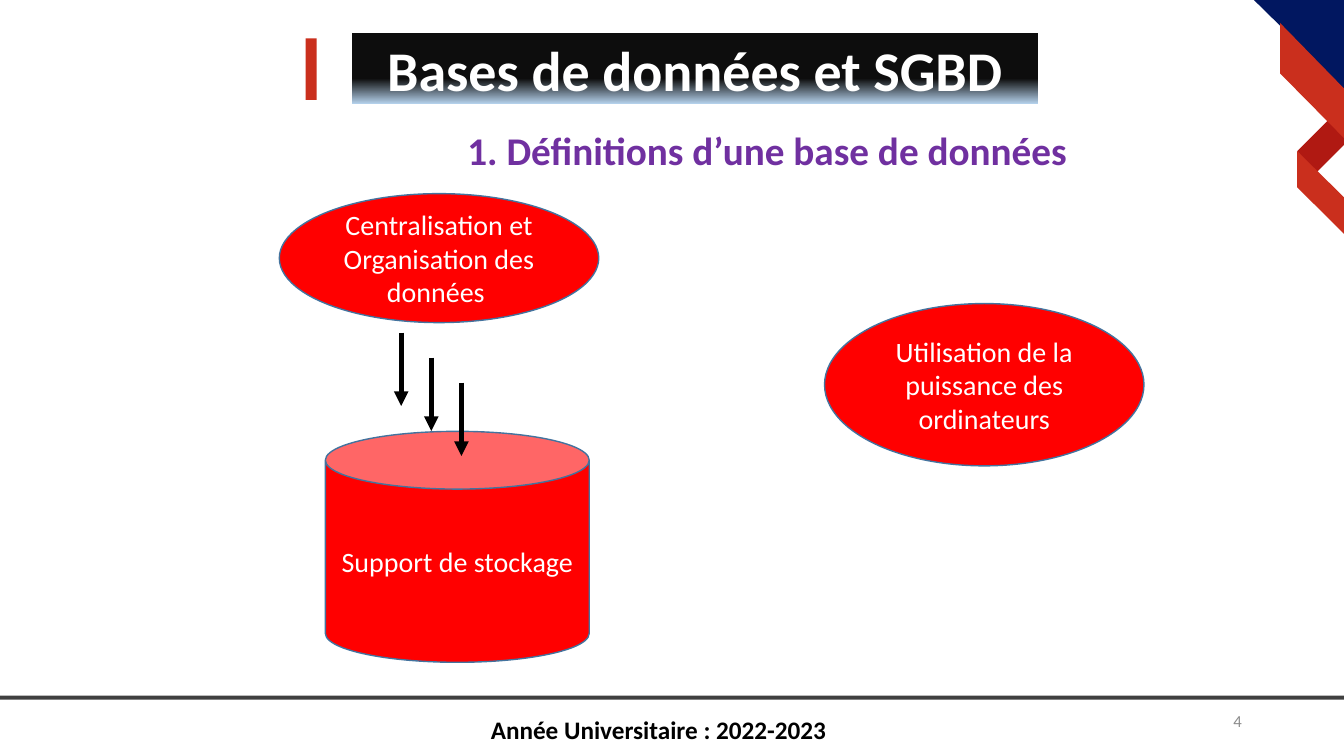
from lxml.etree import SubElement
from pptx import Presentation
from pptx.dml.color import RGBColor
from pptx.enum.shapes import MSO_CONNECTOR as Connector, MSO_SHAPE as Preset
from pptx.enum.text import MSO_ANCHOR as Anchor, MSO_AUTO_SIZE as AutoSize, PP_ALIGN as Align
from pptx.oxml.ns import qn
from pptx.util import Cm, Pt

COLORS = {
    "navy": "011760", "red": "CA2F1D", "dark_red": "B01912",
    "shape": "FF0000", "outline": "43739E", "purple": "7030A0",
    "title_top": "0D0D0D", "title_bottom": "B5D2EC",
    "black": "000000", "white": "FFFFFF", "grey": "8C8C8C",
}


def color(name):
    """Return the named colour."""
    return RGBColor.from_string(COLORS[name])


class SlideBuilder:
    """Hold the style and the current slide."""

    font = "Calibri"

    def __init__(self, presentation):
        """Add a slide that has only a title."""
        self.slide = presentation.slides.add_slide(presentation.slide_layouts[5])
        self.shapes = self.slide.shapes

    def set_text(self, shape, text, size, ink, bold=False, align=Align.CENTER, anchor=Anchor.MIDDLE):
        """Fill a shape with evenly formatted paragraphs."""
        frame = shape.text_frame
        frame.text = text
        frame.word_wrap = True
        frame.auto_size = AutoSize.NONE
        frame.vertical_anchor = anchor
        for paragraph in frame.paragraphs:
            paragraph.alignment = align
            paragraph.font.name = self.font
            paragraph.font.size = Pt(size)
            paragraph.font.bold = bold
            paragraph.font.color.rgb = color(ink)

    def title(self, text, left, top, width, height):
        """Turn the title placeholder into a rounded gradient banner."""
        title = self.shapes.title
        title.left, title.top, title.width, title.height = map(Cm, (left, top, width, height))
        geometry = SubElement(title._element.spPr, qn("a:prstGeom"), prst="roundRect")
        SubElement(geometry, qn("a:avLst"))
        title.fill.gradient()
        title.fill.gradient_angle = 270
        stops = ((0.64, "title_top"), (1, "title_bottom"))
        for stop, (position, name) in zip(title.fill.gradient_stops, stops):
            stop.position = position
            stop.color.rgb = color(name)
        self.set_text(title, text, 40, "white", bold=True)

    def paint(self, shape, fill, outline=None):
        """Give a shape a flat fill and an optional outline."""
        shape.shadow.inherit = False
        shape.fill.solid()
        shape.fill.fore_color.rgb = color(fill)
        if outline:
            shape.line.color.rgb = color(outline)
            shape.line.width = Pt(1)
        else:
            shape.line.fill.background()

    def polygon(self, points, fill):
        """Draw a closed outline through points in centimetres."""
        start, *others = [(Cm(x), Cm(y)) for x, y in points]
        builder = self.shapes.build_freeform(*start)
        builder.add_line_segments(others, close=True)
        self.paint(builder.convert_to_shape(), fill)

    def preset(self, kind, left, top, width, height, fill, text=None):
        """Draw a preset shape, outlined when it carries text."""
        shape = self.shapes.add_shape(kind, Cm(left), Cm(top), Cm(width), Cm(height))
        self.paint(shape, fill, "outline" if text else None)
        if text:
            self.set_text(shape, text, 20, "white")

    def text(self, text, left, top, width, height, size, ink, **style):
        """Add a text box."""
        box = self.shapes.add_textbox(Cm(left), Cm(top), Cm(width), Cm(height))
        self.set_text(box, text, size, ink, **style)

    def line(self, x1, y1, x2, y2, width, arrow=False, opacity=100):
        """Draw a black line, with an optional arrowhead and transparency."""
        line = self.shapes.add_connector(Connector.STRAIGHT, Cm(x1), Cm(y1), Cm(x2), Cm(y2))
        line.line.color.rgb = color("black")
        line.line.width = Pt(width)
        properties = line._element.spPr
        if opacity < 100:
            ink = properties.find(".//" + qn("a:srgbClr"))
            SubElement(ink, qn("a:alpha"), val=str(opacity * 1000))
        if arrow:
            SubElement(properties.find(qn("a:ln")), qn("a:tailEnd"), type="triangle")
        SubElement(properties, qn("a:effectLst"))


def main():
    """Build and save the slide."""
    presentation = Presentation()
    presentation.slide_width, presentation.slide_height = Cm(33.87), Cm(19.05)
    page = SlideBuilder(presentation)

    ribbons = (
        ("dark_red", ((33.5, 3), (33.96, 3.56), (33.15, 4.37), (32.69, 3.81))),
        ("navy", ((33.9, 0), (33.9, 2.26), (31.6, 0))),
        ("red", ((32.69, 3.81), (33.9, 5), (33.9, 5.92), (32.69, 4.72))),
        ("red", ((32.26, 0.58), (33.9, 2.26), (33.9, 3.51), (32.26, 1.85))),
    )
    for fill, points in ribbons:
        page.polygon(points, fill)

    page.preset(Preset.RECTANGLE, 7.7, 0.97, 0.28, 1.55, "red")
    page.title("Bases de données et SGBD", 8.86, 0.84, 17.3, 1.78)
    heading = {"bold": True, "align": Align.LEFT, "anchor": Anchor.TOP}
    page.text("1. Définitions d’une base de données", 11.53, 3.07, 15.8, 1.45, 28, "purple", **heading)

    page.line(0, 17.58, 33.87, 17.58, 2.75, opacity=75)
    page.text("Année Universitaire : 2022-2023", 12.12, 17.88, 9.1, 1.03, 18, "black", **heading)
    page.text("4", 23.93, 17.65, 7.62, 1.02, 12, "grey", align=Align.RIGHT)

    page.preset(Preset.OVAL, 7.04, 4.88, 8.05, 3.25, "shape",
                "Centralisation et\nOrganisation des données ")
    page.preset(Preset.CAN, 8.2, 10.87, 6.65, 5.82, "shape", "Support de stockage")
    page.preset(Preset.OVAL, 20.78, 7.65, 8.05, 4.09, "shape",
                "Utilisation de la puissance des ordinateurs")
    for step in range(3):
        x, y = 10.11 + 0.76 * step, 8.38 + 0.63 * step
        page.line(x, y, x, y + 1.85, 3.5, arrow=True)

    presentation.save("out.pptx")


if __name__ == "__main__":
    main()
